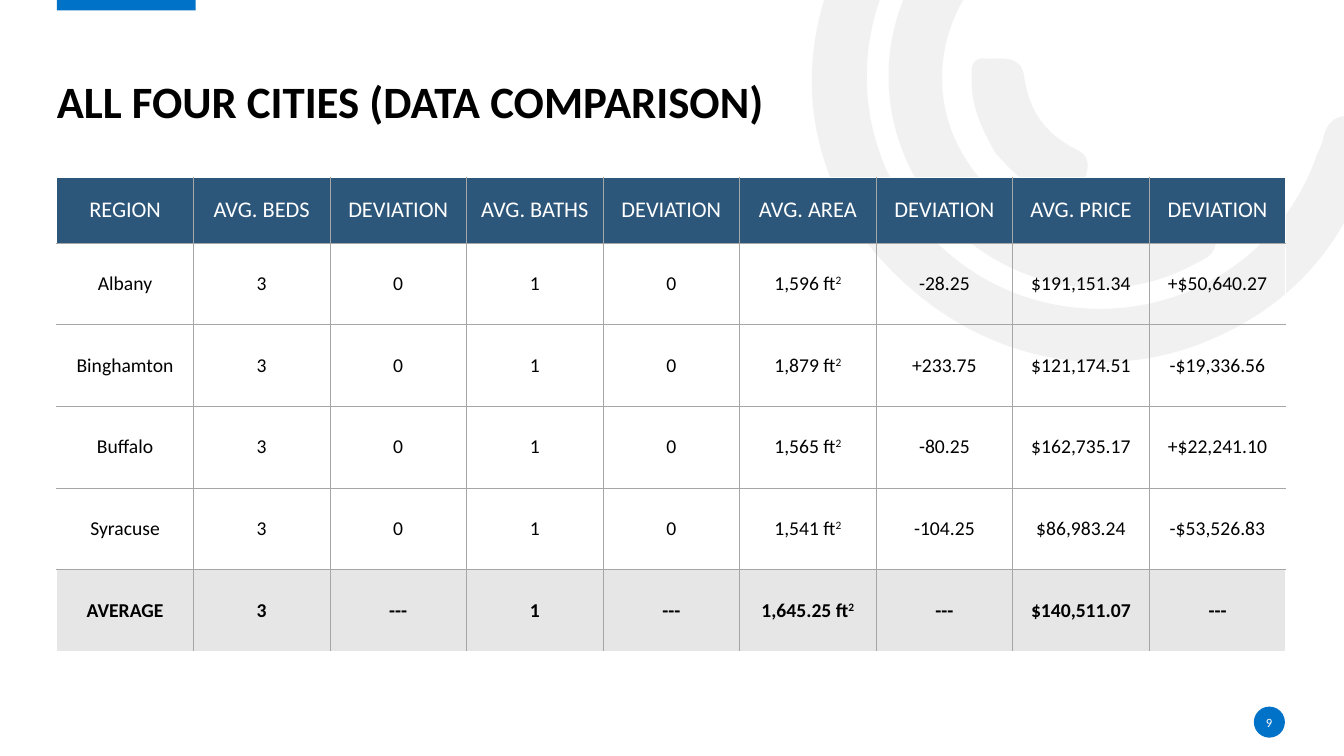
from math import cos, radians, sin

from lxml.etree import SubElement
from pptx import Presentation
from pptx.dml.color import RGBColor
from pptx.enum.shapes import MSO_SHAPE as Shape
from pptx.enum.text import MSO_ANCHOR as Anchor, PP_ALIGN as Align
from pptx.oxml import parse_xml
from pptx.oxml.ns import nsdecls, qn
from pptx.util import Pt

TITLE = "ALL FOUR CITIES (DATA COMPARISON)"
PAGE_NUMBER = "9"
HEADER = ["REGION", "AVG. BEDS", "DEVIATION", "AVG. BATHS", "DEVIATION",
          "AVG. AREA", "DEVIATION", "AVG. PRICE", "DEVIATION"]
# Text after ^ is superscript.
CITIES = [
    ["Albany", "3", "0", "1", "0", "1,596 ft^2", "-28.25", "$191,151.34", "+$50,640.27"],
    ["Binghamton", "3", "0", "1", "0", "1,879 ft^2", "+233.75", "$121,174.51", "-$19,336.56"],
    ["Buffalo", "3", "0", "1", "0", "1,565 ft^2", "-80.25", "$162,735.17", "+$22,241.10"],
    ["Syracuse", "3", "0", "1", "0", "1,541 ft^2", "-104.25", "$86,983.24", "-$53,526.83"],
]
AVERAGE = ["AVERAGE", "3", "---", "1", "---", "1,645.25 ft^2", "---", "$140,511.07", "---"]
ROWS = [HEADER, *CITIES, AVERAGE]

# Background arcs: unrotated box, start point, then cubic curves
# (two controls and an end), all as placed on the page.
ARC_UNIT = 0.72
ARC_ANGLE = 144.2
ARCS = [
    ((813, -202, 485, 600), (851, 229), [
        (799, 149, 787, 50, 838, -50), (890, -152, 976, -203, 1090, -207),
        (1105, -207, 1121, -210, 1131, -195), (1144, -175, 1127, -154, 1098, -154),
        (967, -154, 865, -59, 860, 68), (856, 181, 936, 281, 1046, 302),
        (1160, 324, 1270, 261, 1307, 152), (1309, 148, 1311, 144, 1312, 140),
        (1316, 119, 1327, 111, 1349, 117), (1373, 124, 1367, 141, 1361, 156),
        (1334, 245, 1278, 307, 1191, 341), (1070, 387, 936, 345, 851, 229)]),
    ((901, -78, 213, 426), (922, 199), [
        (862, 115, 869, 7, 940, -68), (951, -79, 962, -95, 980, -78),
        (995, -64, 997, -50, 979, -32), (925, 26, 920, 108, 965, 168),
        (1008, 229, 1088, 249, 1161, 215), (1182, 205, 1193, 212, 1203, 229),
        (1213, 250, 1197, 256, 1183, 263), (1096, 310, 983, 282, 922, 199)]),
    ((980, 37, 78, 183), (987, 151), [
        (975, 130, 964, 107, 964, 82), (964, 73, 961, 57, 976, 58),
        (992, 59, 1013, 53, 1016, 76), (1021, 110, 1036, 132, 1067, 148),
        (1088, 157, 1076, 176, 1072, 189), (1068, 206, 1055, 198, 1045, 194),
        (1021, 187, 1003, 170, 987, 151)]),
]

FONT = "Calibri"
BLUE, NAVY, GRAY, RULE = "0072C7", "2C567A", "E7E6E6", "A6A6A6"
BLACK, WHITE = "000000", "FFFFFF"
LEFT, WIDTH = 40.6, 877.9
TABLE_TOP, HEADER_HEIGHT, ROW_HEIGHT = 127, 46.5, 58.35


def color(value):
    return RGBColor.from_string(value)


def paint(shape, value):
    shape.shadow.inherit = False
    shape.fill.solid()
    shape.fill.fore_color.rgb = color(value)
    shape.line.fill.background()


def style(para, size, value, bold=False):
    para.font.name = FONT
    para.font.size = Pt(size)
    para.font.bold = bold
    para.font.color.rgb = color(value)


def add_text(page, text, left, top, width, height, anchor):
    """Add a box without margins and return its paragraph."""
    box = page.shapes.add_textbox(Pt(left), Pt(top), Pt(width), Pt(height))
    frame = box.text_frame
    frame.word_wrap = True
    frame.vertical_anchor = anchor
    frame.margin_left = frame.margin_right = frame.margin_top = frame.margin_bottom = 0
    frame.text = text
    return frame.paragraphs[0]


def add_arc(page, bounds, start, curves):
    """Add a rotated freeform whose outline is made of cubic curves."""
    left, top, width, height = (Pt(v * ARC_UNIT) for v in bounds)
    builder = page.shapes.build_freeform(left, top)
    builder.add_line_segments([(left + width, top), (left + width, top + height),
                               (left, top + height)])
    arc = builder.convert_to_shape()
    arc.rotation = ARC_ANGLE
    paint(arc, GRAY)
    tint = arc.fill._xPr.find(f".//{qn('a:srgbClr')}")
    SubElement(tint, qn("a:alpha"), val="53000")

    turn = radians(ARC_ANGLE)
    outline = arc._element.find(f".//{qn('a:path')}")
    for segment in list(outline):
        outline.remove(segment)

    def add_segment(kind, values):
        segment = SubElement(outline, qn(kind))
        for px, py in zip(values[::2], values[1::2]):
            x = Pt(px * ARC_UNIT) - left - width / 2
            y = Pt(py * ARC_UNIT) - top - height / 2
            SubElement(segment, qn("a:pt"),
                       x=str(round(x * cos(turn) + y * sin(turn) + width / 2)),
                       y=str(round(y * cos(turn) - x * sin(turn) + height / 2)))

    add_segment("a:moveTo", start)
    for curve in curves:
        add_segment("a:cubicBezTo", curve)
    SubElement(outline, qn("a:close"))


def set_borders(cell, outer_sides):
    """Draw white outer edges and thin gray inner ones."""
    properties = cell._tc.get_or_add_tcPr()
    for index, side in enumerate("LRTB"):
        value, width = (WHITE, 1) if side in outer_sides else (RULE, 0.5)
        properties.insert(index, parse_xml(
            f'<a:ln{side} {nsdecls("a")} w="{Pt(width)}"><a:solidFill>'
            f'<a:srgbClr val="{value}"/></a:solidFill></a:ln{side}>'))


def fill_cell(cell, text, row, column):
    is_header, is_average = row == 0, row == len(ROWS) - 1
    cell.vertical_anchor = Anchor.MIDDLE
    if is_header or is_average:
        cell.fill.solid()
        cell.fill.fore_color.rgb = color(NAVY if is_header else GRAY)
    else:
        cell.fill.background()
    para = cell.text_frame.paragraphs[0]
    para.alignment = Align.CENTER
    style(para, 16 if is_header else 14, WHITE if is_header else BLACK, is_average)
    base, _, power = text.partition("^")
    para.add_run().text = base
    if power:
        span = para.add_run()
        span.text = power
        span._r.get_or_add_rPr().set("baseline", "30000")
    edges = {"L": column == 0, "R": column == len(HEADER) - 1,
             "T": is_header, "B": is_average}
    set_borders(cell, [side for side, is_outer in edges.items() if is_outer])


def add_comparison(page):
    height = HEADER_HEIGHT + ROW_HEIGHT * (len(ROWS) - 1)
    table = page.shapes.add_table(len(ROWS), len(HEADER), Pt(LEFT), Pt(TABLE_TOP),
                                  Pt(WIDTH), Pt(height)).table
    table.first_row = table.horz_banding = False
    for column in table.columns:
        column.width = Pt(WIDTH / len(HEADER))
    for r, texts in enumerate(ROWS):
        table.rows[r].height = Pt(ROW_HEIGHT if r else HEADER_HEIGHT)
        for c, text in enumerate(texts):
            fill_cell(table.cell(r, c), text, r, c)


def main():
    deck = Presentation()
    deck.slide_width, deck.slide_height = Pt(960), Pt(540)
    page = deck.slides.add_slide(deck.slide_layouts[6])

    for bounds, start, curves in ARCS:
        add_arc(page, bounds, start, curves)
    for kind, left, top, width, height in (
            (Shape.RECTANGLE, LEFT, -1.5, 99.2, 9),
            (Shape.OVAL, 895.6, 504.7, 22.2, 22.2)):
        paint(page.shapes.add_shape(kind, Pt(left), Pt(top), Pt(width), Pt(height)), BLUE)

    title = add_text(page, TITLE, LEFT, 19.2, WIDTH, 72.5, Anchor.BOTTOM)
    title.line_spacing = 0.9
    style(title, 32, BLACK, bold=True)
    number = add_text(page, PAGE_NUMBER, 895, 508.5, 23, 14.5, Anchor.MIDDLE)
    number.alignment = Align.CENTER
    style(number, 9, WHITE)

    add_comparison(page)
    deck.save("out.pptx")


if __name__ == "__main__":
    main()
